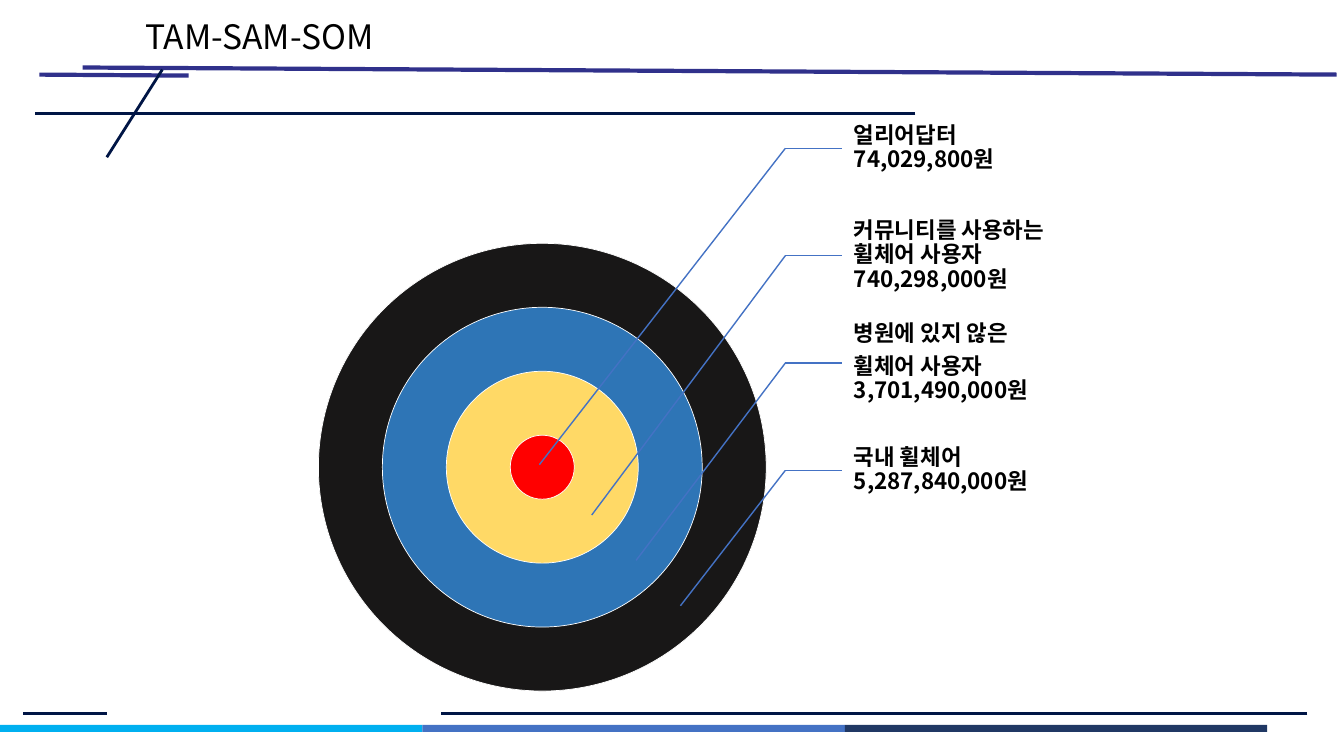
import pptx
import pptx.util
import pptx.dml.color
import pptx.enum.shapes
import pptx.enum.text
import pptx.oxml.ns
from lxml import etree

FONT = "Noto Sans CJK KR"
COLORS = {
    "sky": "00B0F0", "blue": "4472C4", "dark_blue": "203864",
    "indigo": "30318B", "navy": "001545",
    "ring_black": "181717", "ring_blue": "2E75B6",
    "ring_yellow": "FFD966", "ring_red": "FF0000",
    "white": "FFFFFF", "black": "000000",
}
RGB = {k: pptx.dml.color.RGBColor.from_string(v) for k, v in COLORS.items()}
SHAPE = pptx.enum.shapes.MSO_SHAPE
ANCHOR = pptx.enum.text.MSO_ANCHOR

prs = pptx.Presentation()
prs.slide_width = pptx.util.Inches(13.33)
prs.slide_height = pptx.util.Inches(7.5)
s = prs.slides.add_slide(prs.slide_layouts[6])

# The slide is a grid of 100 columns by 100 rows
COL, ROW = prs.slide_width / 100, prs.slide_height / 100


def add_line(x1, y1, x2, y2, color, weight):
    """Draw a straight line between two grid points, without a shadow."""
    ln = s.shapes.add_connector(
        pptx.enum.shapes.MSO_CONNECTOR.STRAIGHT,
        int(x1 * COL), int(y1 * ROW), int(x2 * COL), int(y2 * ROW))
    ln.line.color.rgb = RGB[color]
    ln.line.width = pptx.util.Pt(weight)
    etree.SubElement(ln._element.spPr, pptx.oxml.ns.qn("a:effectLst"))


def add_text(x, y, w, h, paragraphs, frame, para, font):
    """Add a text box on the grid; the three dicts hold format values."""
    tf = s.shapes.add_textbox(
        int(x * COL), int(y * ROW), int(w * COL), int(h * ROW)).text_frame
    for name, value in frame.items():
        setattr(tf, name, value)
    for i, text in enumerate(paragraphs):
        p = tf.paragraphs[0] if i == 0 else tf.add_paragraph()
        p.text = text
        for name, value in para.items():
            setattr(p, name, value)
        for r in p.runs:
            r.font.color.rgb = RGB["black"]
            for name, value in font.items():
                setattr(r.font, name, value)
            ea = etree.SubElement(r._r.get_or_add_rPr(), pptx.oxml.ns.qn("a:ea"))
            ea.set("typeface", FONT)


# Footer bars
BAR_W = 31.43
for i, color in enumerate(["sky", "blue", "dark_blue"]):
    sp = s.shapes.add_shape(SHAPE.RECTANGLE, int(i * BAR_W * COL),
                            int(95.87 * ROW), int(BAR_W * COL), int(0.95 * ROW))
    sp.shadow.inherit = False
    sp.fill.solid()
    sp.fill.fore_color.rgb = RGB[color]
    sp.line.fill.background()

# Header and footer rules
for rule in [
    (6.15, 8.93, 99.45, 9.87, "indigo", 3),
    (2.93, 9.87, 14.03, 10, "indigo", 3),
    (68.1, 15.07, 2.63, 15.07, "navy", 2),
    (7.95, 20.8, 12.08, 9.2, "navy", 2),
    (97.28, 94.4, 32.85, 94.4, "navy", 2),
    (7.95, 94.4, 1.73, 94.4, "navy", 2),
]:
    add_line(*rule)

add_text(10.05, 1.47, 19.65, 6.67, ["TAM-SAM-SOM"], {"word_wrap": False}, {},
         {"name": FONT, "size": pptx.util.Pt(24)})

# Target: diameters are 7, 5, 3 and 1 times the bullseye
CENTER_X, CENTER_Y, BULLSEYE = 40.35 * COL, 61.8 * ROW, 8.46 * ROW
for n, color in [(7, "ring_black"), (5, "ring_blue"),
                 (3, "ring_yellow"), (1, "ring_red")]:
    d = n * BULLSEYE
    sp = s.shapes.add_shape(SHAPE.OVAL, int(CENTER_X - d / 2),
                            int(CENTER_Y - d / 2), int(d), int(d))
    sp.shadow.inherit = False
    sp.fill.solid()
    sp.fill.fore_color.rgb = RGB[color]
    sp.line.color.rgb = RGB["white"]
    sp.line.width = pptx.util.Pt(0.5)

# Callouts: label, then the point on the target where its leader ends
callouts = [
    (["얼리어답터\v74,029,800원"], 40.13, 61.47),
    (["커뮤니티를 사용하는 휠체어 사용자\v740,298,000원"], 44.03, 68.13),
    (["병원에 있지 않은", "휠체어 사용자\v3,701,490,000원"], 47.33, 74.13),
    (["국내 휠체어\v5,287,840,000원"], 50.63, 80.13),
]
ELBOW_X, LABEL_X, LABEL_W = 58.43, 62.63, 16.65
LABEL_TOP, LABEL_H = 12.53, 14.2
inset = pptx.util.Inches(0.02)
label_frame = {"word_wrap": True, "vertical_anchor": ANCHOR.MIDDLE,
               "margin_left": pptx.util.Inches(0.12), "margin_right": inset,
               "margin_top": inset, "margin_bottom": inset}
label_para = {"line_spacing": 0.9, "space_after": pptx.util.Pt(6)}
label_font = {"name": FONT, "size": pptx.util.Pt(16), "bold": True}
for i, (label, tip_x, tip_y) in enumerate(callouts):
    top = LABEL_TOP + i * LABEL_H
    middle = top + LABEL_H / 2
    add_text(LABEL_X, top, LABEL_W, LABEL_H, label,
             label_frame, label_para, label_font)
    add_line(ELBOW_X, middle, LABEL_X, middle, "blue", 1)
    add_line(ELBOW_X, middle, tip_x, tip_y, "blue", 1)

prs.save("out.pptx")
